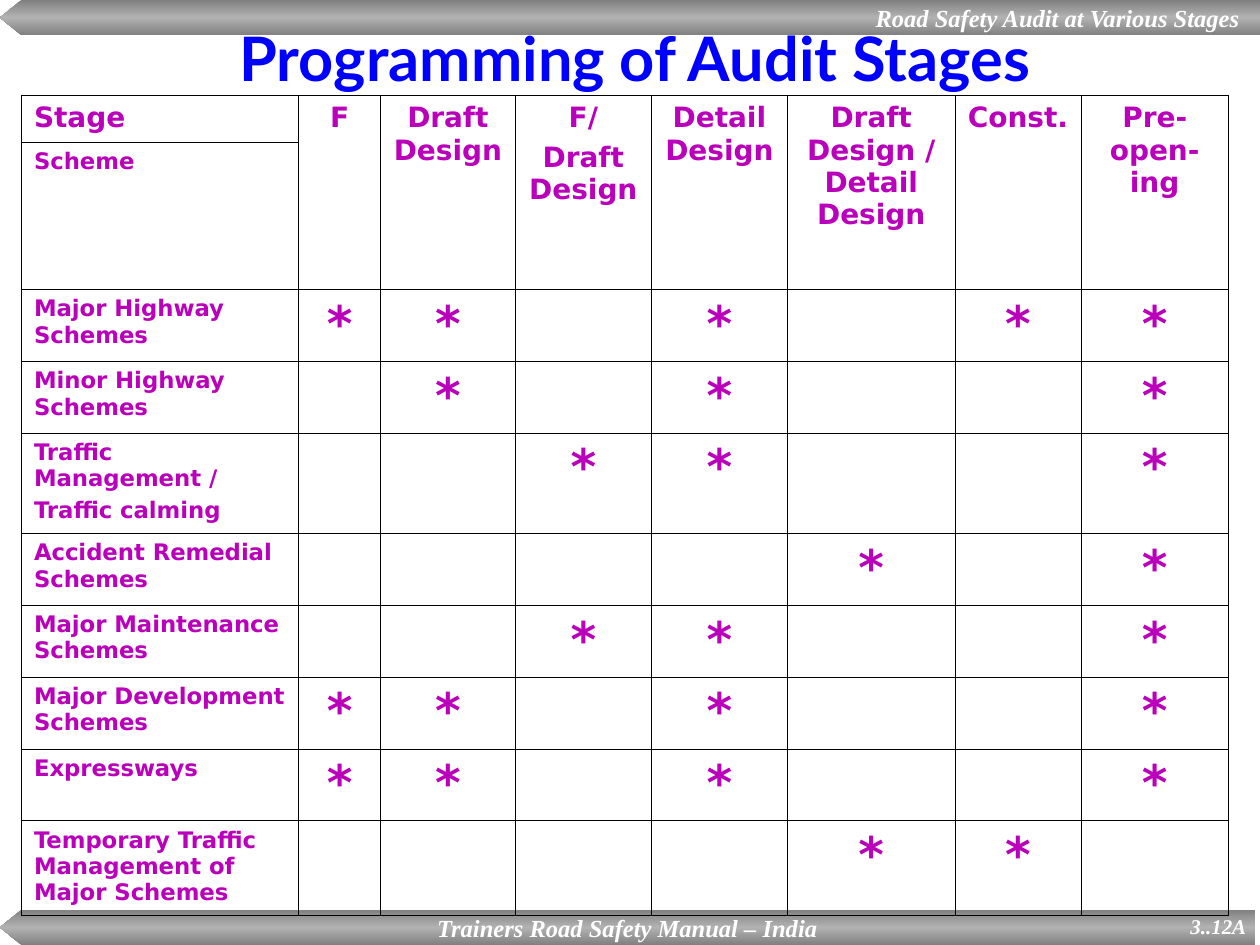
import copy

import lxml.etree
import pptx
import pptx.dml.color
import pptx.enum.text
import pptx.oxml
import pptx.oxml.ns
import pptx.util

COLORS = {"bar_edge": "808080", "bar_mid": "B2B2B2", "bar_text": "FFFFFF",
          "title": "0000FF", "table": "BA00BA", "border": "000000"}
ALIGN = pptx.enum.text.PP_ALIGN
MIDDLE = pptx.enum.text.MSO_ANCHOR.MIDDLE
COLUMNS, ROWS = 100, 75
BAR_HEIGHT = 2.8
COL_WIDTHS = [22, 6.5, 10.7, 10.8, 10.8, 13.3, 10, 11.7]
ROW_HEIGHTS = [3.7, 11.7] + [5.7] * 7 + [7.5]
STAGES = ["F", "Draft Design", "F/\nDraft Design", "Detail Design",
          "Draft Design / Detail Design", "Const.", "Pre-open-ing"]
SCHEMES = [
    ("Major Highway Schemes", "**-*-**"),
    ("Minor Highway Schemes", "-*-*--*"),
    ("Traffic Management /\nTraffic calming", "--**--*"),
    ("Accident Remedial Schemes", "----*-*"),
    ("Major Maintenance Schemes", "--**--*"),
    ("Major Development Schemes", "**-*--*"),
    ("Expressways", "**-*--*"),
    ("Temporary Traffic Management of Major Schemes", "----**-"),
]


def grid(n):
    return pptx.util.Inches(n / 10)


def rgb(name):
    return pptx.dml.color.RGBColor.from_string(COLORS[name])


def write(tf, text, *, size, color, font, align=ALIGN.LEFT, italic=False, gap=0):
    tf.word_wrap = True
    for i, line in enumerate(text.split("\n")):
        p = tf.add_paragraph() if i else tf.paragraphs[0]
        p.alignment = align
        p.space_before = pptx.util.Pt(gap if i else 0)
        r = p.add_run()
        r.text = line
        r.font.name, r.font.size = font, pptx.util.Pt(size)
        r.font.bold, r.font.italic = True, italic
        r.font.color.rgb = rgb(color)


def write_bar_text(tf, text, size, align):
    write(tf, text, size=size, color="bar_text", font="Times New Roman",
          align=align, italic=True)


def add_bar(s, top, width, text, align):
    tip, mid, bottom = 1.7, top + BAR_HEIGHT / 2, top + BAR_HEIGHT
    points = [(tip, top), (0, mid), (tip, bottom), (width, bottom)]
    fb = s.shapes.build_freeform(grid(width), grid(top))
    fb.add_line_segments([(grid(x), grid(y)) for x, y in points], close=True)
    sp = fb.convert_to_shape()
    sp.shadow.inherit = False
    sp.line.fill.background()
    sp.fill.gradient()
    sp.fill.gradient_angle = 90
    first, middle = sp.fill.gradient_stops
    first.position, middle.position = 0, 0.5
    first.color.rgb, middle.color.rgb = rgb("bar_edge"), rgb("bar_mid")
    stops = sp.element.find(".//" + pptx.oxml.ns.qn("a:gsLst"))
    last = copy.deepcopy(stops[0])
    last.set("pos", "100000")
    stops.append(last)
    tf = sp.text_frame
    tf.vertical_anchor = MIDDLE
    tf.margin_right = grid(1.6 if align == ALIGN.RIGHT else 1)
    write_bar_text(tf, text, 14, align)


def add_box(s, left, top, width, height):
    tf = s.shapes.add_textbox(*map(grid, (left, top, width, height))).text_frame
    tf.word_wrap = True
    return tf


def style_cell(cell):
    cell.fill.background()
    tcPr = cell._tc.get_or_add_tcPr()
    for i, side in enumerate(("lnL", "lnR", "lnT", "lnB")):
        ln = lxml.etree.Element(pptx.oxml.ns.qn("a:" + side),
                                w=str(pptx.util.Pt(0.45)))
        fill = lxml.etree.SubElement(ln, pptx.oxml.ns.qn("a:solidFill"))
        lxml.etree.SubElement(fill, pptx.oxml.ns.qn("a:srgbClr"),
                              val=COLORS["border"])
        tcPr.insert(i, ln)


def fill_cell(cell, text, size, align=ALIGN.LEFT):
    write(cell.text_frame, text, size=size, color="table", font="DejaVu Sans",
          align=align, gap=size / 4)


def add_stage_table(s):
    frame = s.shapes.add_table(len(ROW_HEIGHTS), len(COL_WIDTHS), grid(1.7), grid(7.6),
                               grid(sum(COL_WIDTHS)), grid(sum(ROW_HEIGHTS)))
    table = frame.table
    table.first_row = table.horz_banding = False
    for col, width in zip(table.columns, COL_WIDTHS):
        col.width = grid(width)
    for row, height in zip(table.rows, ROW_HEIGHTS):
        row.height = grid(height)
    for cell in table.iter_cells():
        style_cell(cell)
    fill_cell(table.cell(0, 0), "Stage", 16)
    fill_cell(table.cell(1, 0), "Scheme", 13)
    for c, stage in enumerate(STAGES, 1):
        table.cell(0, c).merge(table.cell(1, c))
        fill_cell(table.cell(0, c), stage, 16, ALIGN.CENTER)
    for r, (scheme, marks) in enumerate(SCHEMES, 2):
        fill_cell(table.cell(r, 0), scheme, 13)
        for c, mark in enumerate(marks, 1):
            if mark == "*":
                fill_cell(table.cell(r, c), mark, 28, ALIGN.CENTER)


def main():
    prs = pptx.Presentation()
    prs.slide_width, prs.slide_height = grid(COLUMNS), grid(ROWS)
    s = prs.slides.add_slide(prs.slide_layouts[6])
    add_bar(s, 0, COLUMNS, "Road Safety Audit at Various Stages", ALIGN.RIGHT)
    add_bar(s, ROWS - BAR_HEIGHT, COLUMNS - 0.4,
            "Trainers Road Safety Manual – India", ALIGN.CENTER)
    write_bar_text(add_box(s, 88.8, 72, 11.1, 3), "3..12A", 12, ALIGN.RIGHT)
    title = add_box(s, 0.4, 0.8, COLUMNS, 7.5)
    title.vertical_anchor = MIDDLE
    write(title, "Programming of Audit Stages", size=35, color="title",
          font="Lato", align=ALIGN.CENTER)
    add_stage_table(s)
    prs.save("out.pptx")


if __name__ == "__main__":
    main()
